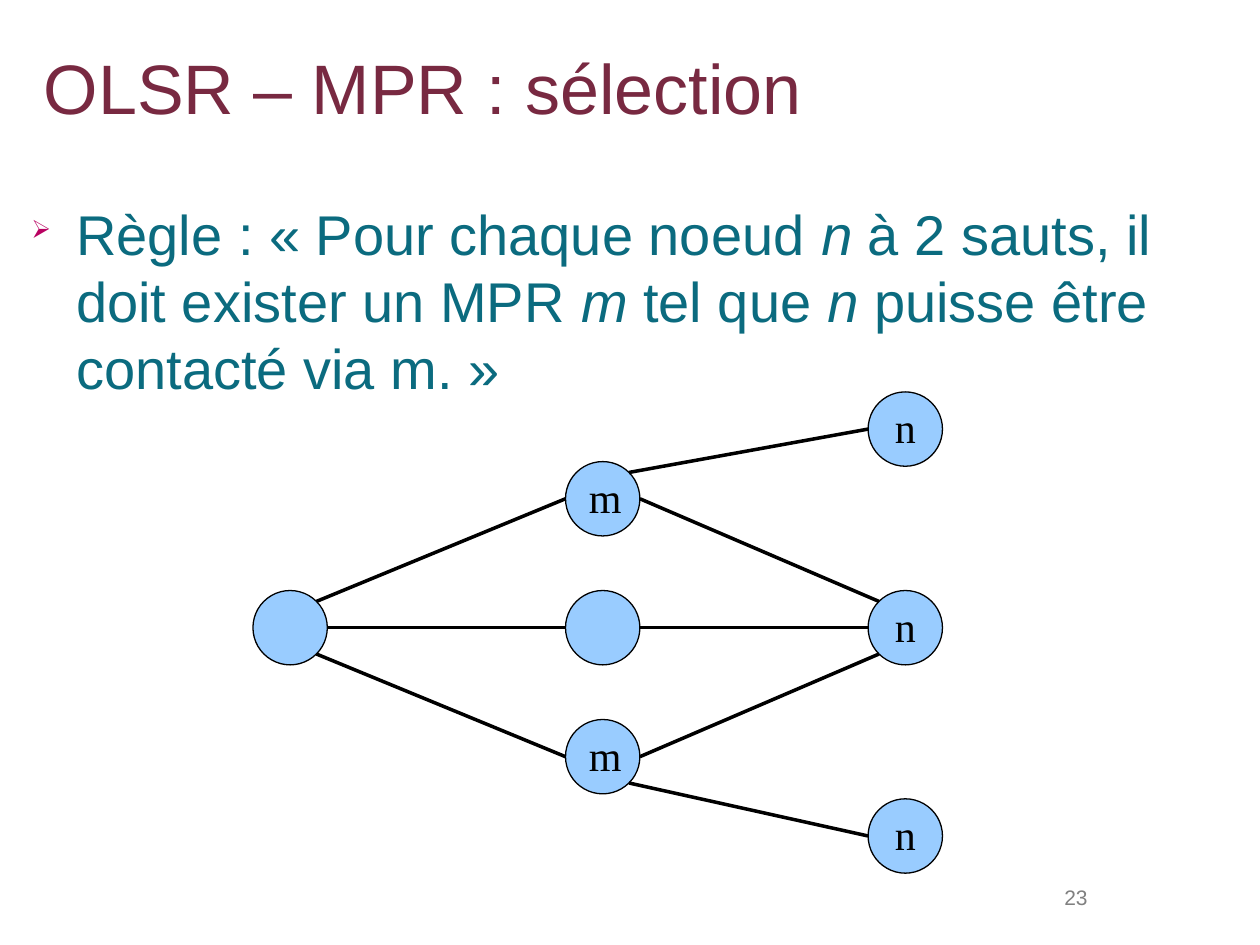
import dataclasses
import math
import typing

import lxml.etree
import pptx
import pptx.dml.color
import pptx.enum.shapes
import pptx.enum.text
import pptx.oxml.ns
import pptx.util

Pt = pptx.util.Pt
ALIGN = pptx.enum.text.PP_ALIGN
ANCHOR = pptx.enum.text.MSO_ANCHOR
RADIUS = 21.25
RIGHT, UPPER_RIGHT, UPPER_LEFT, LEFT, LOWER_LEFT, LOWER_RIGHT = 0, 45, 135, 180, 225, 315


@dataclasses.dataclass(frozen=True)
class Node:
    x: float
    y: float
    label: str = ""

    def rim(self, angle: float) -> tuple[float, float]:
        turn = math.radians(angle)
        return self.x + RADIUS * math.cos(turn), self.y - RADIUS * math.sin(turn)


class Link(typing.NamedTuple):
    start: Node
    start_angle: float
    end: Node
    end_angle: float


def colour(code: str) -> pptx.dml.color.RGBColor:
    return pptx.dml.color.RGBColor.from_string(code)


def write(shape, text: str, *, size: float, color: str, font: str = "Arial",
          align=ALIGN.LEFT, anchor=ANCHOR.TOP, insets=(7.2, 3.6, 7.2, 3.6),
          spacing: float = 1, before: float = 0, after: float = 0):
    """Fill a shape with one paragraph, setting the parts between asterisks in italics."""
    frame = shape.text_frame
    frame.word_wrap = True
    frame.vertical_anchor = anchor
    frame.margin_left, frame.margin_top, frame.margin_right, frame.margin_bottom = map(Pt, insets)
    paragraph = frame.paragraphs[0]
    paragraph.alignment = align
    paragraph.line_spacing = spacing
    paragraph.space_before, paragraph.space_after = Pt(before), Pt(after)
    for index, part in enumerate(text.split("*")):
        run = paragraph.add_run()
        run.text = part
        run.font.name, run.font.size = font, Pt(size)
        run.font.italic = index % 2 == 1
        run.font.color.rgb = colour(color)
    return paragraph


def add_text(slide, box: tuple, text: str, **style):
    return write(slide.shapes.add_textbox(*map(Pt, box)), text, **style)


def add_bullet(paragraph, char: str, color: str, percent: int, indent: float) -> None:
    properties = paragraph._p.get_or_add_pPr()
    properties.set("marL", str(Pt(indent)))
    properties.set("indent", str(-Pt(indent)))

    def child(parent, tag: str, **attributes: str):
        return lxml.etree.SubElement(parent, pptx.oxml.ns.qn(tag), **attributes)

    child(child(properties, "a:buClr"), "a:srgbClr", val=color)
    child(properties, "a:buSzPct", val=str(percent * 1000))
    child(properties, "a:buChar", char=char)


def draw_node(slide, node: Node) -> None:
    circle = slide.shapes.add_shape(
        pptx.enum.shapes.MSO_SHAPE.OVAL,
        Pt(node.x - RADIUS), Pt(node.y - RADIUS), Pt(2 * RADIUS), Pt(2 * RADIUS))
    circle.shadow.inherit = False
    circle.fill.solid()
    circle.fill.fore_color.rgb = colour("99CCFF")
    circle.line.color.rgb = colour("000000")
    circle.line.width = Pt(0)
    if node.label:
        write(circle, node.label, size=24, color="000000", font="Times New Roman",
              align=ALIGN.CENTER, anchor=ANCHOR.MIDDLE, insets=(7.2, 9.4, 7.2, 3.6), spacing=0.61)


def draw_link(slide, link: Link) -> None:
    ends = link.start.rim(link.start_angle) + link.end.rim(link.end_angle)
    line = slide.shapes.add_connector(pptx.enum.shapes.MSO_CONNECTOR.STRAIGHT, *map(Pt, ends))
    line.line.color.rgb = colour("000000")
    line.line.width = Pt(0)
    lxml.etree.SubElement(line._element.spPr, pptx.oxml.ns.qn("a:effectLst"))


def main() -> None:
    presentation = pptx.Presentation()
    presentation.slide_width, presentation.slide_height = Pt(720), Pt(540)
    slide = presentation.slides.add_slide(presentation.slide_layouts[6])

    add_text(slide, (18, 10, 618, 88), "OLSR – MPR : sélection", size=40, color="782941",
             anchor=ANCHOR.MIDDLE, spacing=0.8)
    rule = add_text(
        slide, (18, 113.8, 684, 272),
        "Règle : « Pour chaque noeud *n* à 2 sauts, il doit exister un MPR *m* tel que *n* "
        "puisse être contacté via m. »",
        size=32, color="0B6B7F", insets=(0, 0, 0, 0), before=6.5, after=11.3)
    add_bullet(rule, "➢", "B90161", 45, 25.6)

    middle, row_gap = 358.7, 73.7
    source = Node(165.8, middle)
    upper_relay, plain_neighbour, lower_relay = (
        Node(344.4, middle + step * row_gap, label) for step, label in ((-1, "m"), (0, ""), (1, "m")))
    upper_target, middle_target, lower_target = (
        Node(517.3, y, "n") for y in (245.2, middle, 477.7))

    links = (
        Link(source, UPPER_RIGHT, upper_relay, LEFT),
        Link(source, RIGHT, plain_neighbour, LEFT),
        Link(source, LOWER_RIGHT, lower_relay, LEFT),
        Link(upper_relay, UPPER_RIGHT, upper_target, LEFT),
        Link(lower_relay, LOWER_RIGHT, lower_target, LEFT),
        Link(plain_neighbour, RIGHT, middle_target, LEFT),
        Link(upper_relay, RIGHT, middle_target, UPPER_LEFT),
        Link(lower_relay, RIGHT, middle_target, LOWER_LEFT),
    )
    for node in (source, upper_relay, plain_neighbour, lower_relay,
                 upper_target, middle_target, lower_target):
        draw_node(slide, node)
    for link in links:
        draw_link(slide, link)

    add_text(slide, (558, 502, 70.6, 23), "23", size=12, color="808080",
             align=ALIGN.RIGHT, before=7.5)
    presentation.save("out.pptx")


if __name__ == "__main__":
    main()
